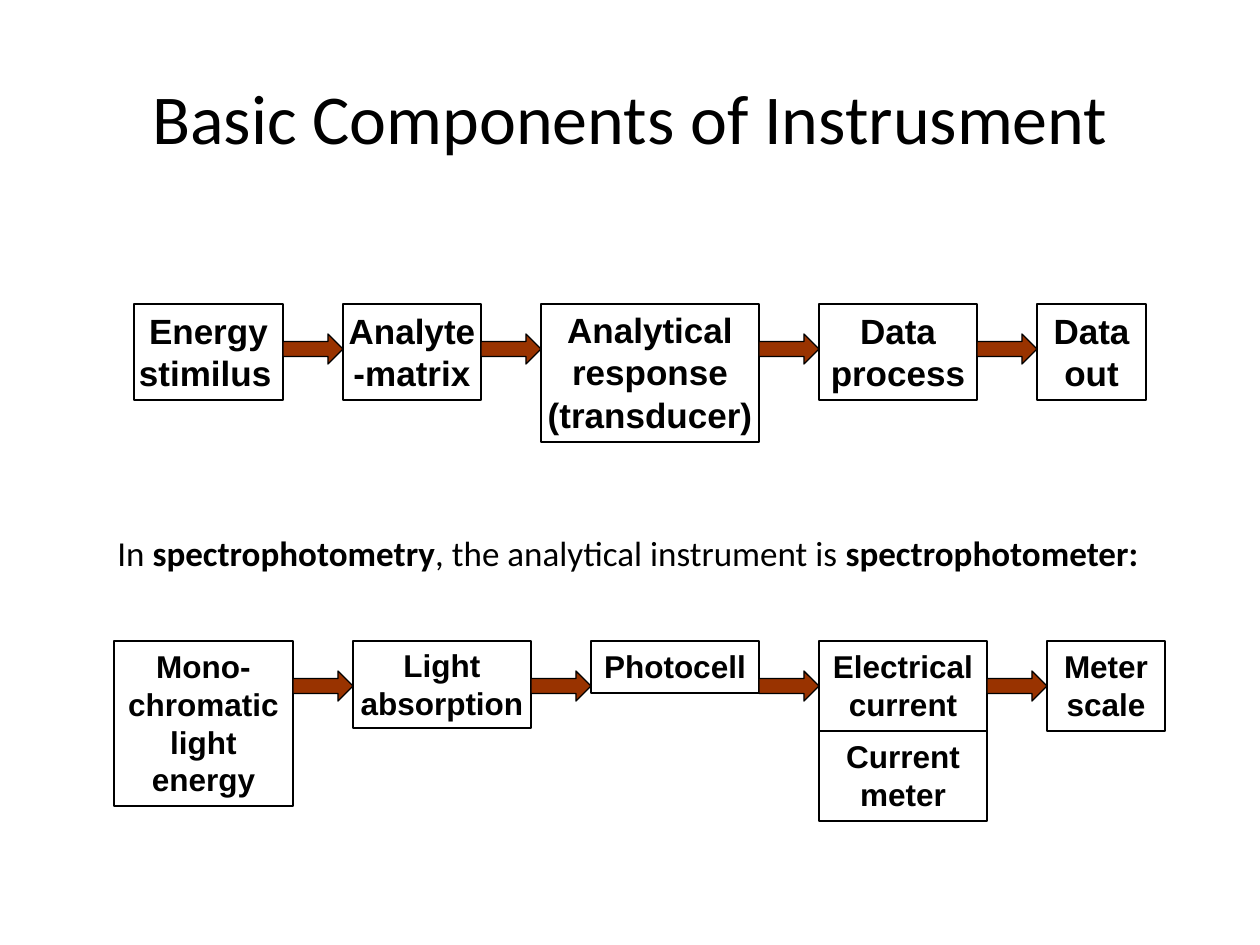
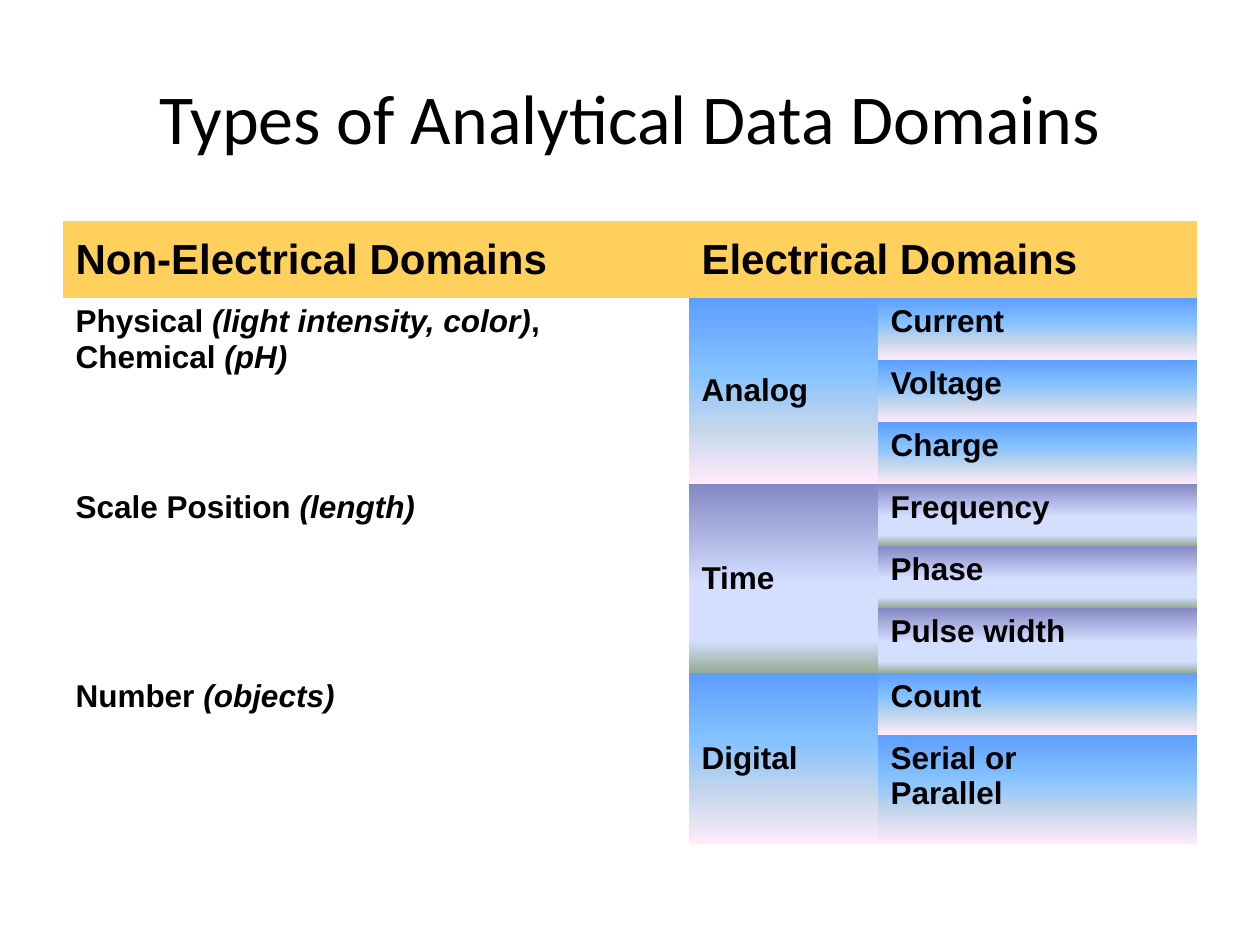
from lxml import etree
from pptx import Presentation
from pptx.dml.color import RGBColor
from pptx.enum.shapes import MSO_SHAPE as Shape
from pptx.enum.text import MSO_ANCHOR as Anchor, MSO_AUTO_SIZE as AutoSize, PP_ALIGN as Align
from pptx.oxml.ns import qn
from pptx.util import Pt

PX = 914400 / 126
BLACK, RUST, AMBER = "000000", "993300", "FFD05B"
SKY = [(0, "5E9EFF"), (40, "85C2FF"), (70, "C4D6EB"), (100, "FFEBFA")]
DUSK = [(0, "8488C4"), (53, "D4DEFF"), (83, "D4DEFF"), (100, "96AB94")]
NO_STYLE = "{2D5ABB26-0587-4C30-8999-92F81FD0307C}"
HANGING = 47
ARROW_LENGTH, ARROW_HEIGHT, ARROW_DROP = 60, 30, 30
TIGHT, NORMAL = (5, 5), (13, 6)

# Each box: paragraphs, width, height, (side, top) insets
COMPONENTS = [
    (["Energy", "stimilus"], 149, 96, TIGHT),
    (["Analyte-matrix"], 138, 96, TIGHT),
    (["Analytical response", "(transducer)"], 218, 138, TIGHT),
    (["Data process"], 158, 96, TIGHT),
    (["Data out"], 109, 96, TIGHT),
]
SPECTROPHOTOMETER = [
    (["Mono-chromatic light energy"], 179, 165, NORMAL),
    (["Light absorption"], 178, 87, TIGHT),
    (["Photocell"], 168, 52, NORMAL),
    (["Electrical current"], 168, 90, NORMAL),
    (["Meter scale"], 118, 90, NORMAL),
]

# Each group: non-electrical paragraphs, electrical domain, gradient, signals
DOMAINS = [
    ([["Physical ", ("(light intensity, color)", "italic"), ","],
      ["Chemical ", ("(pH)", "italic")]],
     "Analog", SKY, [["Current"], ["Voltage"], ["Charge"]]),
    ([["Scale Position ", ("(length)", "italic")]],
     "Time", DUSK, [["Frequency"], ["Phase"], ["Pulse width"]]),
    ([["Number ", ("(objects)", "italic")]],
     "Digital", SKY, [["Count"], ["Serial or", "Parallel"]]),
]
COLUMN_WIDTHS = [626, 189, 319]
ROW_HEIGHTS = [77, 62, 62, 62, 62, 62, 65, 62, 109]


def px(*lengths):
    return [round(length * PX) for length in lengths]


def color(value):
    return RGBColor.from_string(value)


def write_text(frame, paragraphs, *, size, font="Arial", bold=True,
               align=Align.LEFT, hanging=0, spacing=None):
    """Fill a frame; a paragraph is a string or a list of runs."""
    for index, runs in enumerate(paragraphs):
        paragraph = frame.add_paragraph() if index else frame.paragraphs[0]
        paragraph.alignment = align
        if spacing:
            paragraph.line_spacing = spacing
        if hanging:
            indent, = px(hanging)
            properties = paragraph._p.get_or_add_pPr()
            properties.set("marL", str(indent))
            properties.set("indent", str(-indent))
        for part in [runs] if isinstance(runs, str) else runs:
            text, emphasis = (part, None) if isinstance(part, str) else part
            run = paragraph.add_run()
            run.text = text
            run.font.name, run.font.size = font, Pt(size)
            run.font.bold = bold or emphasis == "bold"
            run.font.italic = emphasis == "italic"
            run.font.color.rgb = color(BLACK)


def add_text(slide, left, top, width, height, paragraphs, anchor=Anchor.TOP, **style):
    frame = slide.shapes.add_textbox(*px(left, top, width, height)).text_frame
    frame.word_wrap = True
    frame.vertical_anchor = anchor
    write_text(frame, paragraphs, font="Calibri", bold=False, **style)


def add_titled_slide(presentation, title):
    slide = presentation.slides.add_slide(presentation.slide_layouts[6])
    add_text(slide, 63, 38, 1134, 157, [title], anchor=Anchor.MIDDLE,
             size=40, align=Align.CENTER)
    return slide


def add_outlined(group, kind, left, top, width, height, fill=None):
    shape = group.shapes.add_shape(kind, *px(left, top, width, height))
    shape.shadow.inherit = False
    shape.line.color.rgb, shape.line.width = color(BLACK), Pt(0.75)
    if fill:
        shape.fill.solid()
        shape.fill.fore_color.rgb = color(fill)
    else:
        shape.fill.background()
    return shape


def add_box(group, left, top, box, size):
    paragraphs, width, height, (side, edge) = box
    shape = add_outlined(group, Shape.RECTANGLE, left, top, width, height)
    frame = shape.text_frame
    frame.word_wrap, frame.auto_size = True, AutoSize.SHAPE_TO_FIT_TEXT
    frame.vertical_anchor = Anchor.TOP
    frame.margin_left, frame.margin_right = px(side, side)
    frame.margin_top, frame.margin_bottom = px(edge, edge)
    write_text(frame, paragraphs, size=size, align=Align.CENTER)
    return shape


def add_flow(slide, left, top, boxes, size):
    """Lay boxes left to right, joined by block arrows."""
    group = slide.shapes.add_group_shape()
    shapes = []
    for index, box in enumerate(boxes):
        if index:
            add_outlined(group, Shape.RIGHT_ARROW, left, top + ARROW_DROP,
                         ARROW_LENGTH, ARROW_HEIGHT, RUST)
            left += ARROW_LENGTH
        shapes.append(add_box(group, left, top, box, size))
        left += box[1]
    return group, shapes


def fill_gradient(cell, stops):
    properties = cell._tc.get_or_add_tcPr()
    gradient = etree.SubElement(properties, qn("a:gradFill"), rotWithShape="1")
    stop_list = etree.SubElement(gradient, qn("a:gsLst"))
    for percent, value in stops:
        stop = etree.SubElement(stop_list, qn("a:gs"), pos=str(percent * 1000))
        etree.SubElement(stop, qn("a:srgbClr"), val=value)
    etree.SubElement(gradient, qn("a:lin"), ang="5400000", scaled="1")


def set_cell(cell, paragraphs, fill=None, size=18, anchor=Anchor.TOP):
    cell.vertical_anchor = anchor
    if isinstance(fill, list):
        fill_gradient(cell, fill)
    elif fill:
        cell.fill.solid()
        cell.fill.fore_color.rgb = color(fill)
    else:
        cell.fill.background()
    write_text(cell.text_frame, paragraphs, size=size, hanging=HANGING)


def add_domain_table(slide, left, top):
    table = slide.shapes.add_table(
        len(ROW_HEIGHTS), len(COLUMN_WIDTHS),
        *px(left, top, sum(COLUMN_WIDTHS), sum(ROW_HEIGHTS))).table
    table._tbl.tblPr.find(qn("a:tableStyleId")).text = NO_STYLE
    table.first_row = table.horz_banding = False
    for column, width in zip(table.columns, px(*COLUMN_WIDTHS)):
        column.width = width
    for row, height in zip(table.rows, px(*ROW_HEIGHTS)):
        row.height = height

    # Header
    table.cell(0, 1).merge(table.cell(0, 2))
    for column, heading in enumerate(["Non-Electrical Domains", "Electrical Domains"]):
        set_cell(table.cell(0, column), [heading], AMBER, 24, Anchor.MIDDLE)

    # Domain groups
    first = 1
    for non_electrical, domain, gradient, signals in DOMAINS:
        last = first + len(signals) - 1
        for column in (0, 1):
            table.cell(first, column).merge(table.cell(last, column))
        set_cell(table.cell(first, 0), non_electrical)
        set_cell(table.cell(first, 1), [domain], gradient, anchor=Anchor.MIDDLE)
        for row, signal in enumerate(signals, first):
            set_cell(table.cell(row, 2), signal, gradient)
        first = last + 1


def build_components_slide(presentation):
    slide = add_titled_slide(presentation, "Basic Components of Instrusment")
    _, components = add_flow(slide, 134, 304, COMPONENTS, 20)
    components[0].text_frame.paragraphs[1].alignment = Align.LEFT
    add_text(slide, 105, 533, 1081, 49,
             [["In ", ("spectrophotometry", "bold"), ", the analytical instrument is",
               (" spectrophotometer:", "bold")]],
             size=20, hanging=HANGING, spacing=0.8)
    group, _ = add_flow(slide, 114, 641, SPECTROPHOTOMETER, 18)
    add_box(group, 819, 731, (["Current meter"], 168, 90, NORMAL), 18)


def build_domains_slide(presentation):
    slide = add_titled_slide(presentation, "Types of Analytical Data Domains")
    add_domain_table(slide, 63, 221)


def main():
    presentation = Presentation()
    presentation.slide_width, presentation.slide_height = px(1260, 945)
    build_components_slide(presentation)
    build_domains_slide(presentation)
    presentation.save("out.pptx")


if __name__ == "__main__":
    main()
